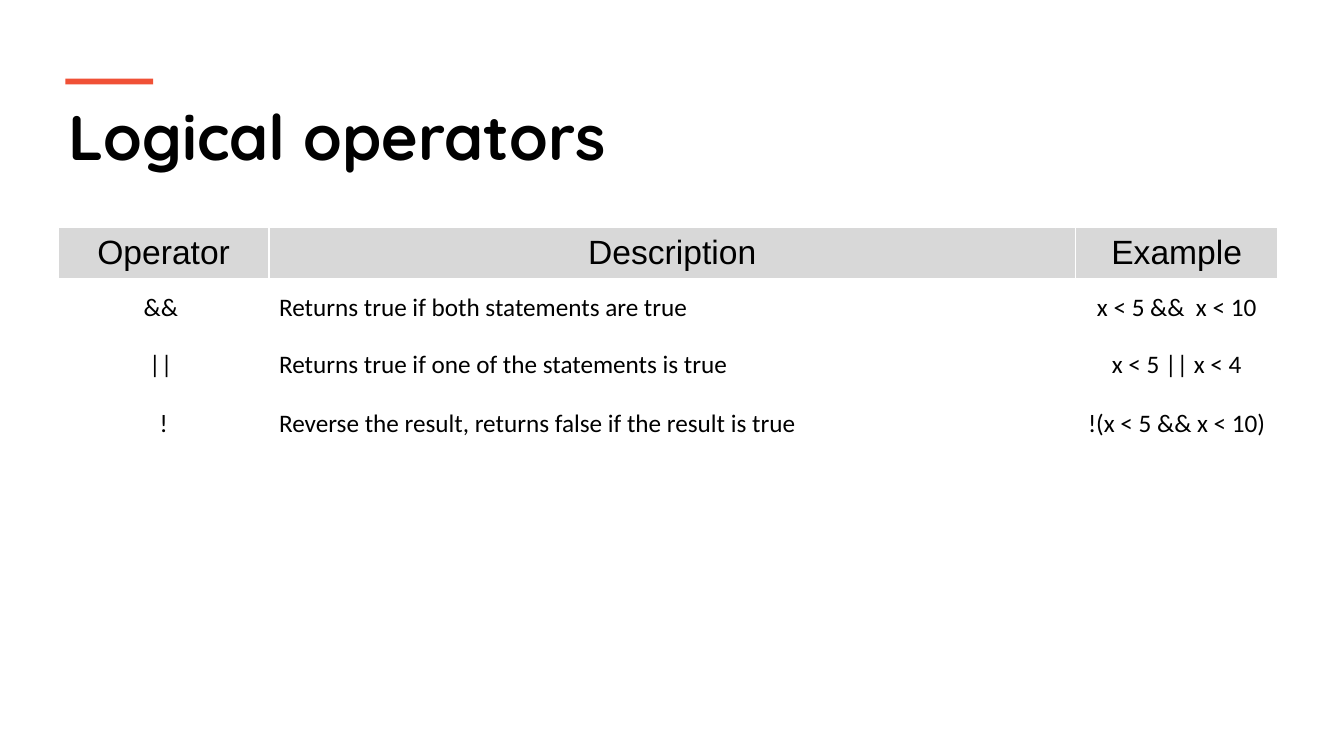
import dataclasses

import pptx
import pptx.dml.color
import pptx.enum.shapes
import pptx.enum.text
import pptx.util

Cm = pptx.util.Cm
Align = pptx.enum.text.PP_ALIGN
Anchor = pptx.enum.text.MSO_ANCHOR


@dataclasses.dataclass(frozen=True)
class Theme:
    text: str = "000000"
    accent: str = "F05136"
    header_fill: str = "D8D8D8"
    title_font: str = "Quicksand"
    header_font: str = "Arial"
    body_font: str = "Calibri"
    title_size: int = 45
    header_size: int = 24
    body_size: int = 18


THEME = Theme()

OPERATORS = [
    ("Operator", "Description", "Example"),
    ("&& ", "Returns true if both statements are true", "x < 5 &&  x < 10"),
    ("|| ", "Returns true if one of the statements is true", "x < 5 || x < 4"),
    ("!", "Reverse the result, returns false if the result is true", "!(x < 5 && x < 10)"),
]
COLUMN_WIDTHS = (5.31, 20.32, 5.11)
ROW_HEIGHTS = (1.3, 1.45, 1.45, 1.52)
DESCRIPTION_COLUMN = 1


def color(value):
    return pptx.dml.color.RGBColor.from_string(value)


def write_text(frame, text, *, font, size, bold=False, align=Align.LEFT):
    paragraph = frame.paragraphs[0]
    paragraph.alignment = align
    run = paragraph.add_run()
    run.text = text
    run.font.name = font
    run.font.size = pptx.util.Pt(size)
    run.font.bold = bold
    run.font.color.rgb = color(THEME.text)


def add_heading(slide, text, left, top, width, height):
    # Title placeholder
    title = slide.shapes.title
    title.left, title.top, title.width, title.height = left, top, width, height
    frame = title.text_frame
    frame.word_wrap = True
    frame.vertical_anchor = Anchor.TOP
    frame.auto_size = pptx.enum.text.MSO_AUTO_SIZE.SHAPE_TO_FIT_TEXT
    write_text(frame, text, font=THEME.title_font, size=THEME.title_size, bold=True)

    # Accent bar above the title
    bar = slide.shapes.add_shape(
        pptx.enum.shapes.MSO_SHAPE.RECTANGLE,
        left + Cm(0.18), top - Cm(0.36), Cm(2.21), Cm(0.15),
    )
    bar.shadow.inherit = False
    bar.fill.solid()
    bar.fill.fore_color.rgb = color(THEME.accent)
    bar.line.fill.background()


def add_operator_table(slide, rows, left, top):
    table = slide.shapes.add_table(
        len(rows), len(COLUMN_WIDTHS), left, top,
        Cm(sum(COLUMN_WIDTHS)), Cm(sum(ROW_HEIGHTS)),
    ).table
    table.first_row = False
    table.horz_banding = False
    for column, width in zip(table.columns, COLUMN_WIDTHS):
        column.width = Cm(width)
    for row, height in zip(table.rows, ROW_HEIGHTS):
        row.height = Cm(height)

    # Header row is shaded; descriptions below it are left-aligned
    for row_index, texts in enumerate(rows):
        is_header = row_index == 0
        for column_index, text in enumerate(texts):
            cell = table.cell(row_index, column_index)
            cell.vertical_anchor = Anchor.MIDDLE
            if is_header:
                cell.fill.solid()
                cell.fill.fore_color.rgb = color(THEME.header_fill)
            else:
                cell.fill.background()
            is_description = column_index == DESCRIPTION_COLUMN and not is_header
            write_text(
                cell.text_frame, text,
                font=THEME.header_font if is_header else THEME.body_font,
                size=THEME.header_size if is_header else THEME.body_size,
                align=Align.LEFT if is_description else Align.CENTER,
            )


def main():
    presentation = pptx.Presentation()
    presentation.slide_width = Cm(33.87)
    presentation.slide_height = Cm(19.05)
    slide = presentation.slides.add_slide(presentation.slide_layouts.get_by_name("Title Only"))

    margin = Cm(1.47)
    add_heading(slide, "Logical operators", margin, Cm(2.34), Cm(31.34), Cm(2.18))
    add_operator_table(slide, OPERATORS, margin, Cm(5.72))
    presentation.save("out.pptx")


if __name__ == "__main__":
    main()
